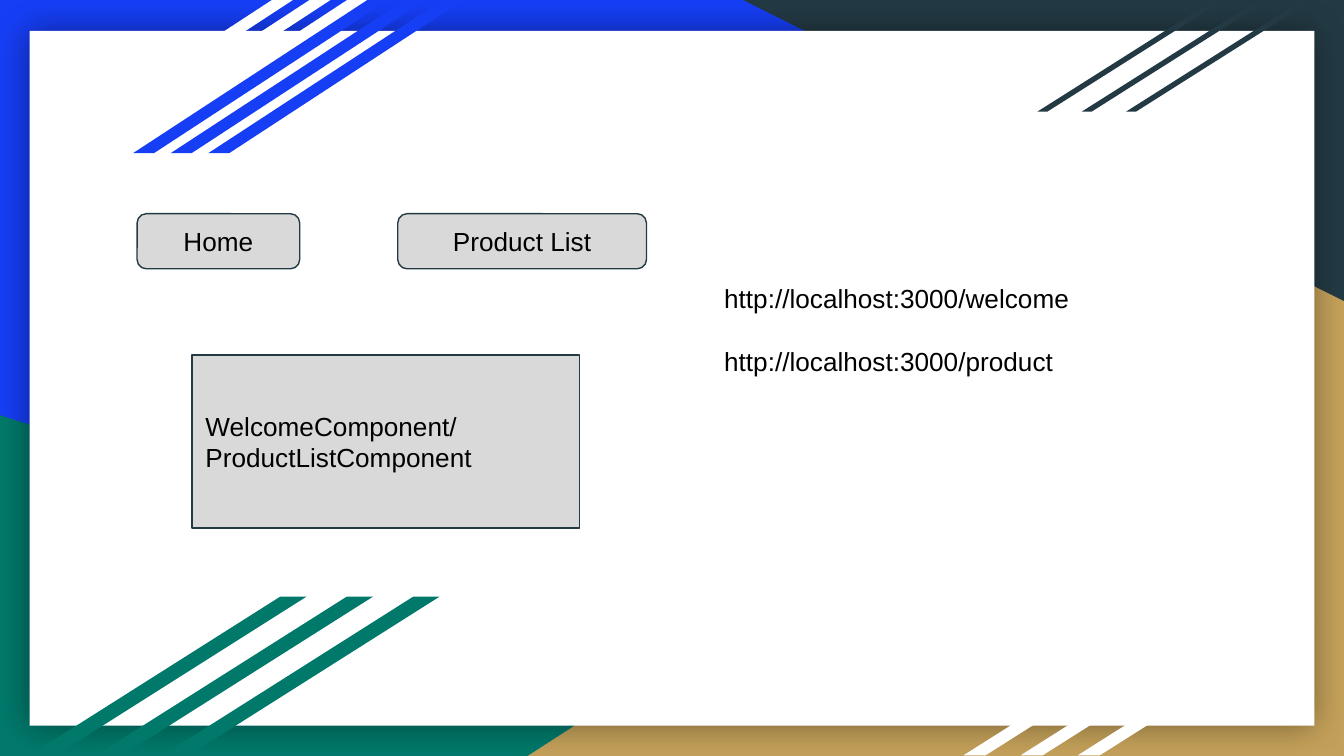
from dataclasses import dataclass

from lxml import etree
from pptx import Presentation
from pptx.dml.color import RGBColor
from pptx.enum.shapes import MSO_SHAPE
from pptx.enum.text import MSO_ANCHOR, PP_ALIGN
from pptx.oxml.ns import qn
from pptx.util import Inches, Pt

RECTANGLE = MSO_SHAPE.RECTANGLE
ROUNDED = MSO_SHAPE.ROUNDED_RECTANGLE
TRIANGLE = MSO_SHAPE.RIGHT_TRIANGLE
PARALLELOGRAM = MSO_SHAPE.PARALLELOGRAM
LEFT, CENTER = PP_ALIGN.LEFT, PP_ALIGN.CENTER
TOP, MIDDLE = MSO_ANCHOR.TOP, MSO_ANCHOR.MIDDLE
BLANK_LAYOUT = 6


@dataclass(frozen=True)
class Theme:
    blue: str = "163EF5"
    green: str = "00796B"
    gold: str = "C4A15A"
    slate: str = "233A44"
    white: str = "FFFFFF"
    grey: str = "D9D9D9"
    black: str = "000000"
    font: str = "Arial"
    text_size: float = 14
    line_width: float = 0.75


THEME = Theme()


def color(value):
    return RGBColor.from_string(value)


def add_filled(slide, kind, box, fill):
    shape = slide.shapes.add_shape(kind, *map(Inches, box))
    shape.shadow.inherit = False
    shape.fill.solid()
    shape.fill.fore_color.rgb = color(fill)
    shape.line.fill.background()
    return shape


def add_corners(slide):
    add_filled(slide, TRIANGLE, (0, 3.09, 8.06, 2.54), THEME.green)
    gold = add_filled(slide, TRIANGLE, (3.92, 1.7, 6.08, 3.93), THEME.gold)
    gold._element.spPr.find(qn("a:xfrm")).set("flipH", "1")
    slate = add_filled(slide, TRIANGLE, (5.53, 0, 4.47, 2.24), THEME.slate)
    slate.rotation = 180


def add_panel(slide):
    """Add the white sheet with a soft glow of shadow around it."""
    panel = add_filled(slide, RECTANGLE, (0.22, 0.23, 9.56, 5.17), THEME.white)
    effects = panel._element.spPr.find(qn("a:effectLst"))
    shadow = etree.SubElement(effects, qn("a:outerShdw"), blurRad=str(Pt(18)),
                              dist="0", dir="0", algn="ctr", rotWithShape="0")
    shade = etree.SubElement(shadow, qn("a:srgbClr"), val=THEME.black)
    etree.SubElement(shade, qn("a:alpha"), val="40000")


def add_stripes(slide, box, spread, slant, fill):
    """Add three slanted stripes; spread is the shift from first to last."""
    left, top, width, height = box
    for share in (1, 0.5, 0):
        stripe = add_filled(slide, PARALLELOGRAM,
                            (left + share * spread, top, width, height), fill)
        stripe.adjustments[0] = slant


def write_text(shape, lines, alignment, anchor, gap=0):
    frame = shape.text_frame
    frame.word_wrap = True
    frame.vertical_anchor = anchor
    frame.margin_left = frame.margin_right = Inches(0.1)
    frame.margin_top = frame.margin_bottom = Inches(0.1)
    frame.text = "\n".join(lines)
    for index, paragraph in enumerate(frame.paragraphs):
        paragraph.alignment = alignment
        paragraph.space_before = Pt(gap if index else 0)
        for run in paragraph.runs:
            run.font.name = THEME.font
            run.font.size = Pt(THEME.text_size)
            run.font.color.rgb = color(THEME.black)


def add_label_box(slide, kind, box, text, alignment):
    shape = add_filled(slide, kind, box, THEME.grey)
    shape.line.color.rgb = color(THEME.slate)
    shape.line.width = Pt(THEME.line_width)
    write_text(shape, [text], alignment, MIDDLE)


def add_addresses(slide, box, addresses):
    text_box = slide.shapes.add_textbox(*map(Inches, box))
    write_text(text_box, addresses, LEFT, TOP, gap=17)


def main():
    presentation = Presentation()
    presentation.slide_width = Inches(10)
    presentation.slide_height = presentation.slide_width * 9 // 16
    slide = presentation.slides.add_slide(presentation.slide_layouts[BLANK_LAYOUT])
    slide.background.fill.solid()
    slide.background.fill.fore_color.rgb = color(THEME.blue)

    add_corners(slide)
    add_panel(slide)
    for box, spread, slant, fill in (
        ((0.28, 0, 1.9, 1.14), 0.56, 1.53, THEME.white),
        ((0.99, 0, 1.9, 1.14), 0.56, 1.53, THEME.blue),
        ((7.72, 0.01, 1.37, 0.82), 0.66, 1.58, THEME.slate),
        ((7.17, 4.61, 1.76, 1.01), 0.85, 1.58, THEME.white),
        ((0.22, 4.44, 2.06, 1.18), 0.99, 1.58, THEME.green),
    ):
        add_stripes(slide, box, spread, slant, fill)

    add_label_box(slide, RECTANGLE, (1.43, 2.64, 2.88, 1.29),
                  "WelcomeComponent/ ProductListComponent", LEFT)
    add_label_box(slide, ROUNDED, (1.02, 1.59, 1.21, 0.41), "Home", CENTER)
    add_label_box(slide, ROUNDED, (2.96, 1.59, 1.85, 0.41), "Product List", CENTER)
    add_addresses(slide, (5.29, 2, 3.17, 1.66),
                  ["http://localhost:3000/welcome", "http://localhost:3000/product"])
    presentation.save("out.pptx")


if __name__ == "__main__":
    main()
